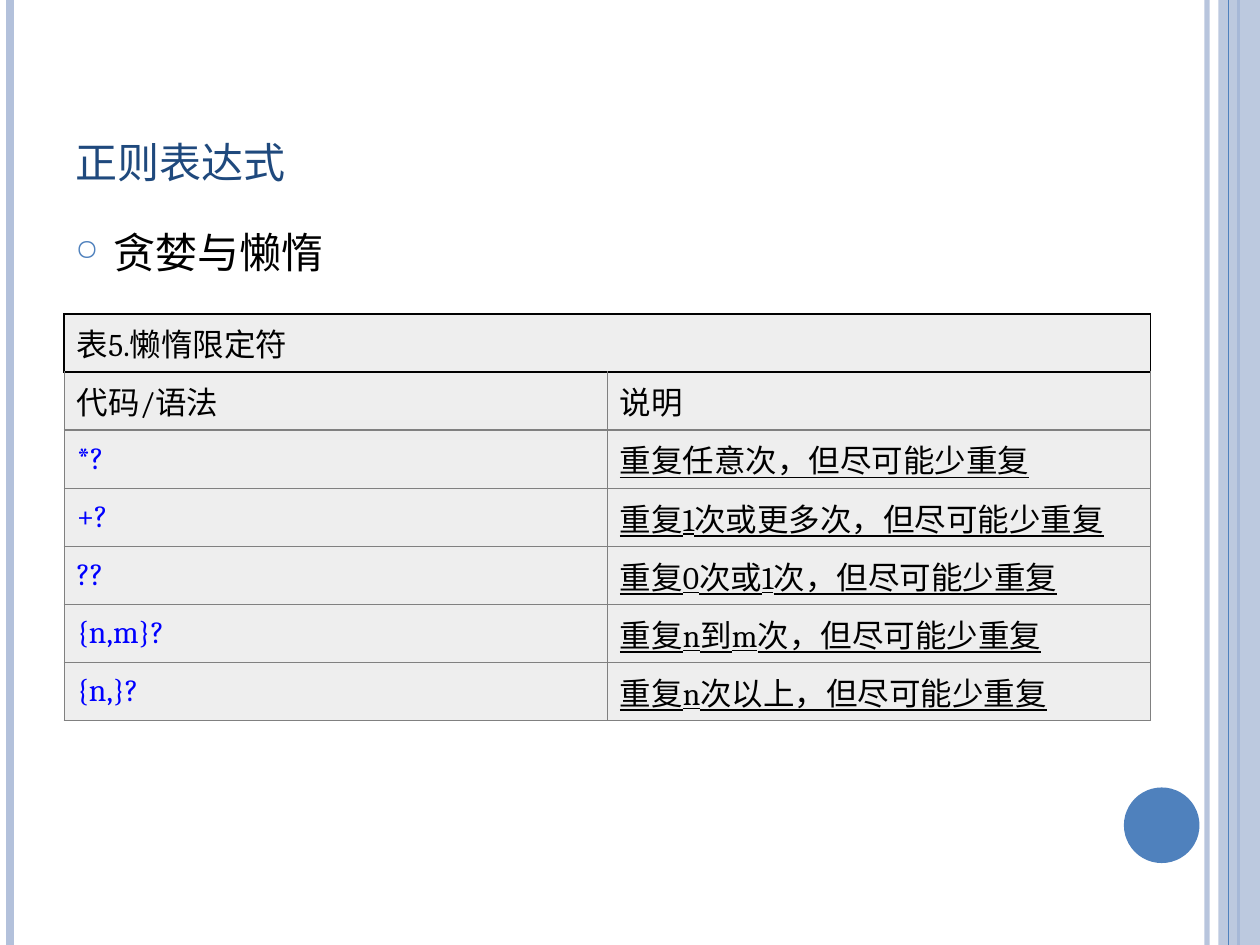
import pptx
import pptx.util
import pptx.dml.color
import pptx.enum.shapes
import pptx.enum.text
import pptx.oxml
import pptx.oxml.ns
from lxml import etree

Inches, Pt = pptx.util.Inches, pptx.util.Pt
Shape = pptx.enum.shapes.MSO_SHAPE
Anchor = pptx.enum.text.MSO_ANCHOR
qn = pptx.oxml.ns.qn

HUES = {"pale": "B3C1DB", "blue": "4F81BD", "navy": "1F497D", "ink": "000000",
        "code": "0000FF", "cell": "EEEEEE", "grid": "808080"}
ROWS = [
    ("代码/语法", "说明"),
    ("*?", "重复任意次，但尽可能少重复"),
    ("+?", "重复1次或更多次，但尽可能少重复"),
    ("??", "重复0次或1次，但尽可能少重复"),
    ("{n,m}?", "重复n到m次，但尽可能少重复"),
    ("{n,}?", "重复n次以上，但尽可能少重复"),
]


def rgb(hue):
    return pptx.dml.color.RGBColor.from_string(HUES[hue])


def sub(node, tag, **attrs):
    return etree.SubElement(node, qn(tag), attrs)


def fade(paint, share):
    """Make a solid fill see-through, keeping the given percentage."""
    tint = paint._xPr.find(".//" + qn("a:srgbClr"))
    sub(tint, "a:alpha", val=str(share * 1000))


def write(para, text, hue, **looks):
    run = para.add_run()
    run.text = text
    run.font.color.rgb = rgb(hue)
    for key, value in {"name": "Cambria", **looks}.items():
        setattr(run.font, key, value)
    return run


def rule(slide, x, hue, width, share=100):
    """Draw a line down the whole slide."""
    line = slide.shapes.add_connector(
        pptx.enum.shapes.MSO_CONNECTOR.STRAIGHT,
        Inches(x), 0, Inches(x), Inches(7.5))
    line.line.color.rgb = rgb(hue)
    line.line.width = Pt(width)
    if share < 100:
        fade(line.line.fill, share)
    sub(line._element.spPr, "a:effectLst")


def block(slide, kind, box, hue):
    shape = slide.shapes.add_shape(kind, *map(Inches, box))
    shape.shadow.inherit = False
    shape.fill.solid()
    shape.fill.fore_color.rgb = rgb(hue)
    shape.line.fill.background()
    return shape


def frame(slide):
    rule(slide, 9.58, "pale", 3, 93)
    rule(slide, 0.08, "pale", 4.5)
    rule(slide, 9.83, "blue", 1.5)
    band = block(slide, Shape.RECTANGLE, (9.67, 0, 0.33, 7.5), "pale")
    fade(band.fill, 87)
    rule(slide, 9.75, "blue", 0.75)
    block(slide, Shape.OVAL, (8.92, 6.25, 0.6, 0.6), "blue")


def label(slide, box, anchor):
    text = slide.shapes.add_textbox(*map(Inches, box)).text_frame
    text.word_wrap = True
    text.vertical_anchor = anchor
    return text.paragraphs[0]


def title(slide, box):
    para = label(slide, box, Anchor.BOTTOM)
    run = write(para, "正则表达式", "navy", size=Pt(30))
    run.font._element.set("cap", "small")


def body(slide, box):
    para = label(slide, box, Anchor.TOP)
    para.space_before = Pt(6)
    props = para._p.get_or_add_pPr()
    props.set("marL", str(Inches(0.3)))
    props.set("indent", str(Inches(-0.3)))
    sub(sub(props, "a:buClr"), "a:srgbClr", val=HUES["blue"])
    sub(props, "a:buSzPct", val="70000")
    sub(props, "a:buChar", char="○")
    write(para, "贪婪与懒惰", "ink", size=Pt(24))


def edge(cell, side, hue, width):
    line = sub(cell._tc.get_or_add_tcPr(), "a:ln" + side, w=str(Pt(width)))
    sub(sub(line, "a:solidFill"), "a:srgbClr", val=HUES[hue])


def fill(cell, text, hue, top, **looks):
    """Style one cell; top is true for cells of the caption row."""
    for side in "LRTB":
        edge(cell, side, *(("ink", 1) if top else ("grid", 0.75)))
    cell.fill.solid()
    cell.fill.fore_color.rgb = rgb("cell")
    cell.vertical_anchor = Anchor.MIDDLE
    if text:
        write(cell.text_frame.paragraphs[0], text, hue, size=Pt(18), **looks)


def grid(slide, box):
    table = slide.shapes.add_table(len(ROWS) + 1, 2, *map(Inches, box)).table
    table.first_row = table.horz_banding = False
    table.cell(0, 0).merge(table.cell(0, 1))
    for r, texts in enumerate([("表5.懒惰限定符", ""), *ROWS]):
        for c, text in enumerate(texts):
            item = r > 1
            hue = "code" if item and c == 0 else "ink"
            fill(table.cell(r, c), text, hue, r == 0, underline=item and c == 1)


def main():
    deck = pptx.Presentation()
    deck.slide_width, deck.slide_height = Inches(10), Inches(7.5)
    slide = deck.slides.add_slide(deck.slide_layouts[6])
    frame(slide)
    title(slide, (0.5, 0.3, 8.17, 1.25))
    body(slide, (0.5, 1.75, 8.17, 5.33))
    grid(slide, (0.51, 2.49, 8.62, 3.23))
    deck.save("out.pptx")


if __name__ == "__main__":
    main()
